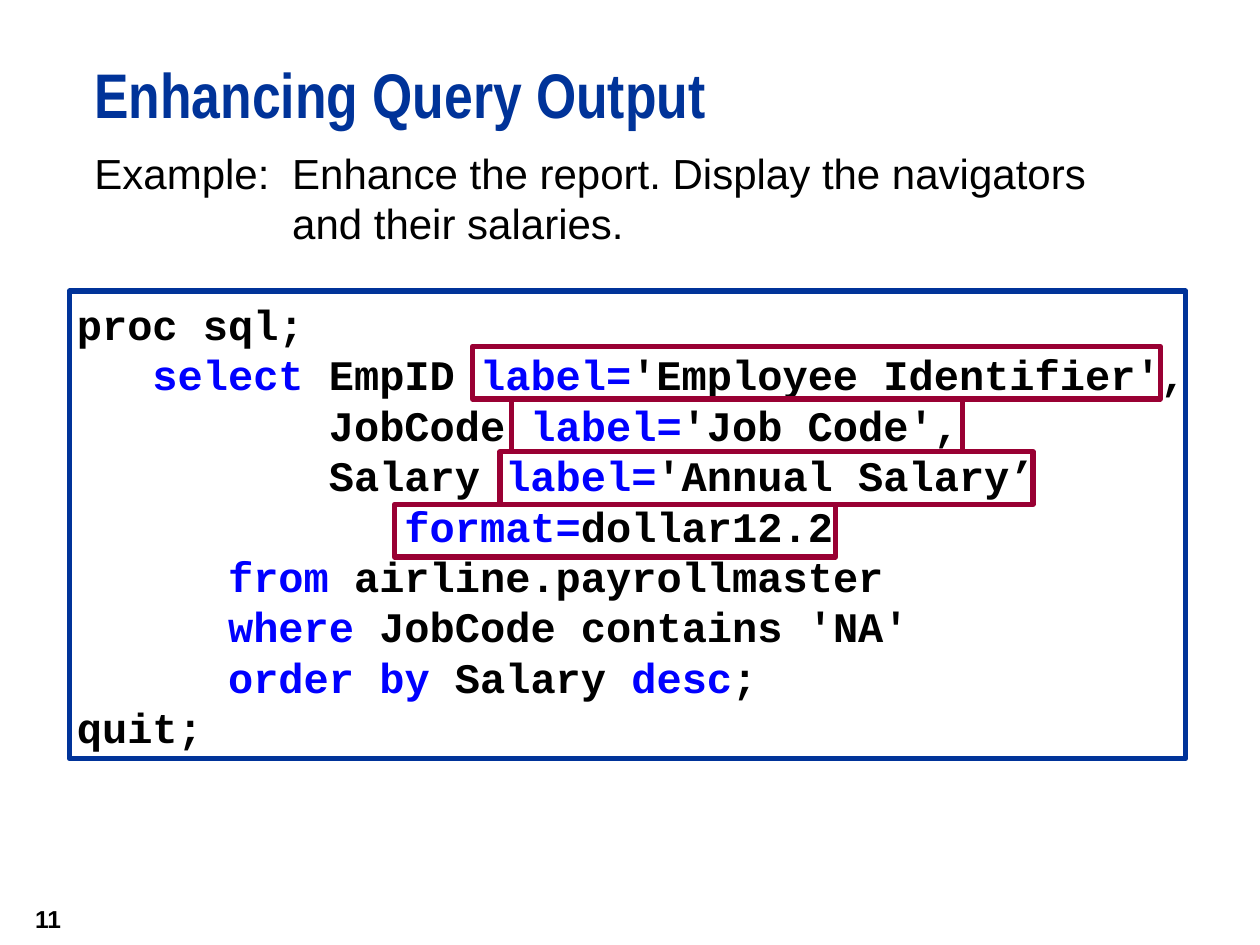
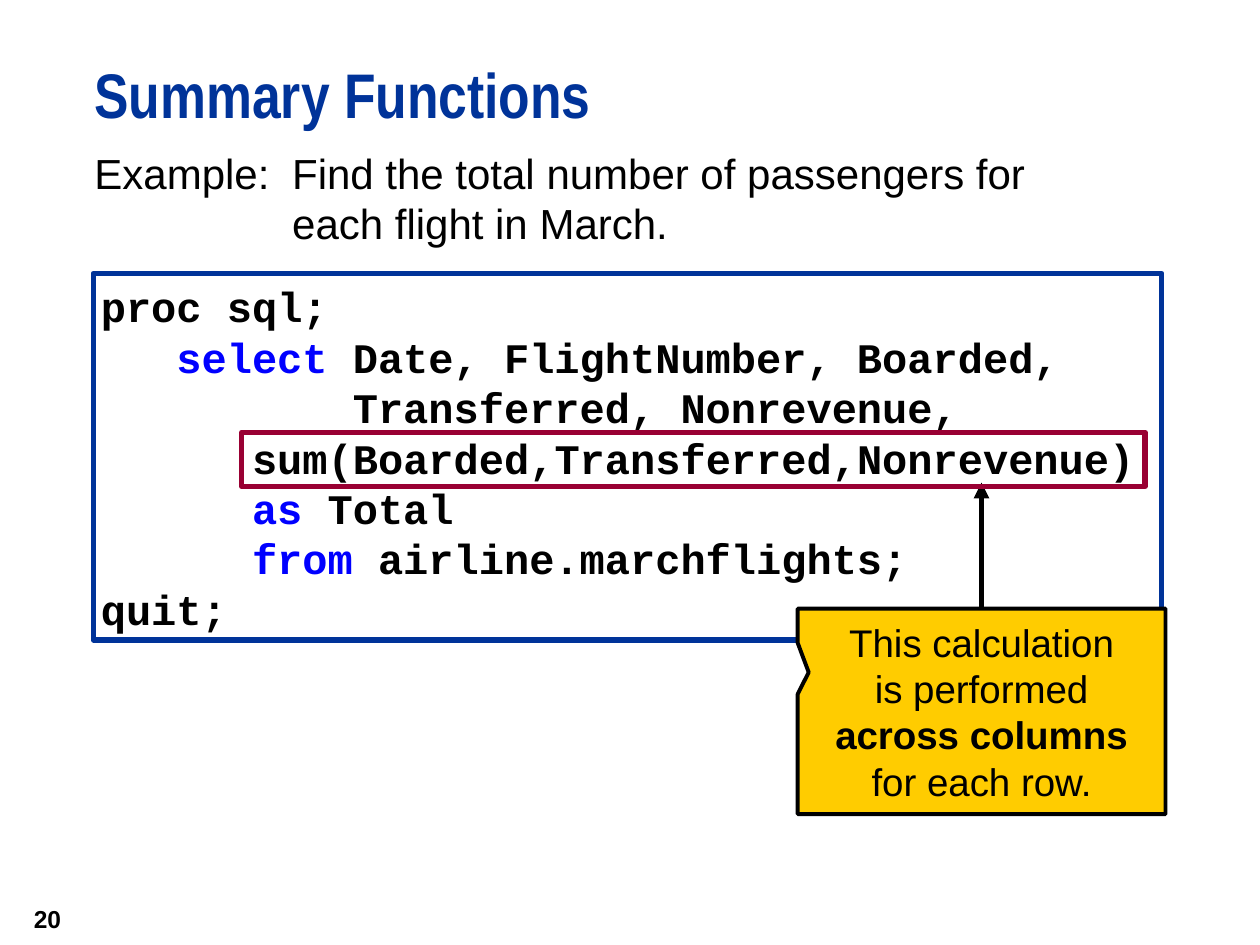
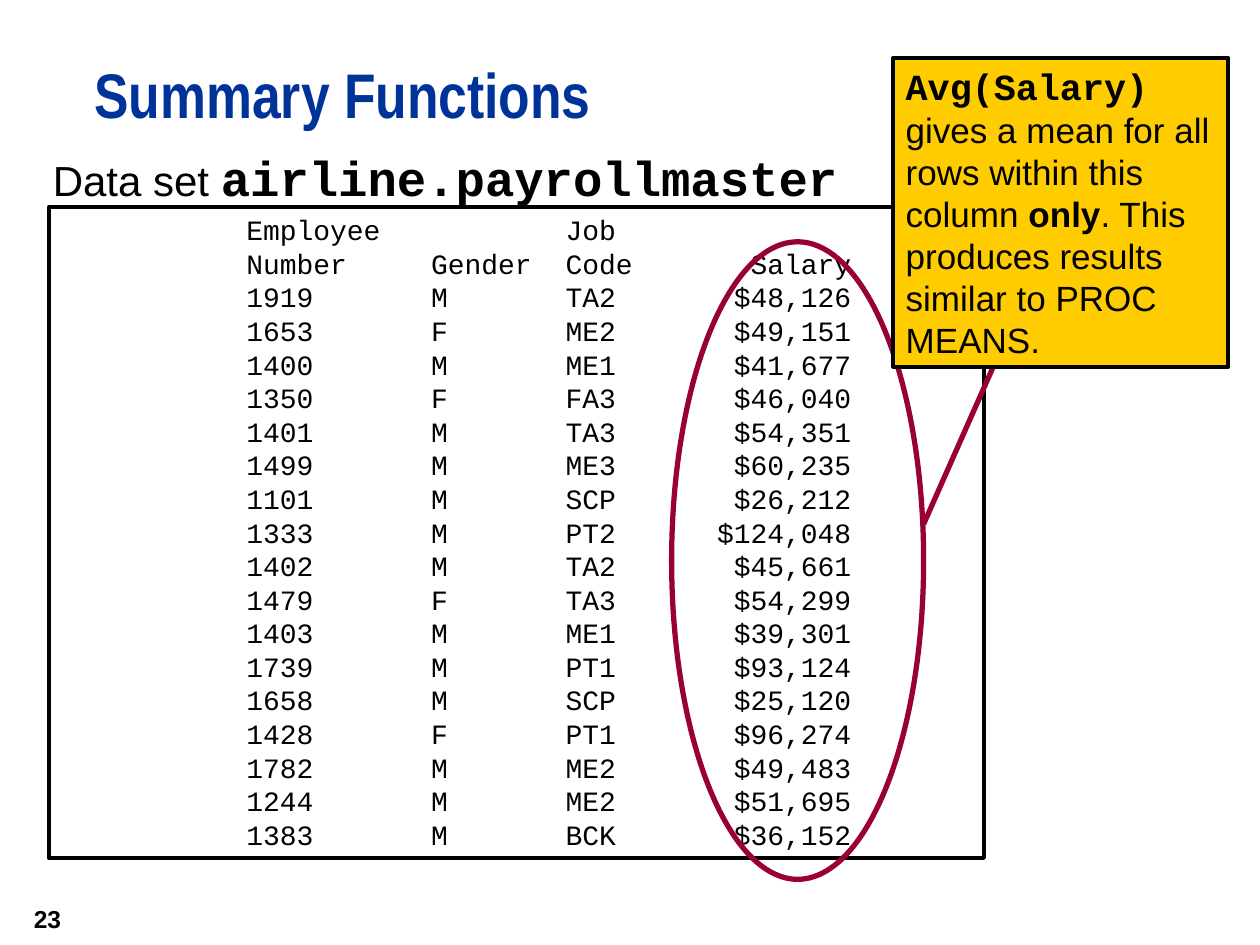
from lxml import etree
from pptx import Presentation, util as u
from pptx.dml.color import RGBColor
from pptx.enum import shapes, text
from pptx.oxml.ns import qn

NAVY, BLUE, WINE = "003399", "0000FF", "990033"
GOLD, BLACK, WHITE = "FFCC00", "000000", "FFFFFF"
SANS, SLIM, MONO = "Arial", "Arial Narrow", "Courier New"
LEFT, MID, RIGHT = text.PP_ALIGN.LEFT, text.PP_ALIGN.CENTER, text.PP_ALIGN.RIGHT
RECT = shapes.MSO_SHAPE.RECTANGLE
EM = 0.6  # width of a fixed-pitch letter, per point of size


def rgb(hue):
    return RGBColor.from_string(hue)


def look(size, font=SANS, hue=BLACK, bold=False):
    return dict(size=size, font=font, hue=hue, bold=bold)


class Deck:
    def __init__(self):
        self.prs = Presentation()
        self.prs.slide_width, self.prs.slide_height = u.Pt(720), u.Pt(540)
        self.slide = None

    def start(self, num, title):
        self.slide = self.prs.slides.add_slide(self.prs.slide_layouts[6])
        head = self.label((54, 36, 666, 54), [title], look(36, SLIM, NAVY, True))
        head.paragraphs[0].line_spacing = u.Pt(39)
        foot = self.label((0, 510, 42, 30), [str(num)], look(14, bold=True),
                          pad=(7.2, 3.6, 7.2, 3.6), align=RIGHT)
        foot.vertical_anchor = text.MSO_ANCHOR.MIDDLE

    def put(self, frame, lines, base, alt=None, pad=(0, 0, 0, 0), align=LEFT, wrap=True):
        """Fill a frame; text between bars takes the alternate look."""
        frame.word_wrap = wrap
        frame.vertical_anchor = text.MSO_ANCHOR.TOP
        (frame.margin_left, frame.margin_top,
         frame.margin_right, frame.margin_bottom) = map(u.Pt, pad)
        for i, line in enumerate(lines):
            para = frame.add_paragraph() if i else frame.paragraphs[0]
            para.alignment = align
            for j, part in enumerate(line.split("|")):
                if not part:
                    continue
                if j:
                    para.add_run().text = part
                else:
                    para.text = part
                style = alt if j % 2 else base
                for run in para.runs[-1:] if j else para.runs:
                    run.font.size = u.Pt(style["size"])
                    run.font.name = style["font"]
                    run.font.bold = style["bold"]
                    run.font.color.rgb = rgb(style["hue"])
        return frame

    def label(self, box, lines, base, alt=None, **opts):
        frame = self.slide.shapes.add_textbox(*map(u.Pt, box)).text_frame
        return self.put(frame, lines, base, alt, **opts)

    def shape(self, box, line, width=3, fill=None, kind=RECT):
        item = self.slide.shapes.add_shape(kind, *map(u.Pt, box))
        item.shadow.inherit = False
        if fill:
            item.fill.solid()
            item.fill.fore_color.rgb = rgb(fill)
        else:
            item.fill.background()
        item.line.color.rgb = rgb(line)
        item.line.width = u.Pt(width)
        return item

    def line(self, start, end, hue, arrow=False):
        item = self.slide.shapes.add_connector(
            shapes.MSO_CONNECTOR.STRAIGHT, *map(u.Pt, start + end))
        item.line.color.rgb = rgb(hue)
        item.line.width = u.Pt(3)
        props = item._element.spPr
        if arrow:
            etree.SubElement(props.get_or_add_ln(), qn("a:tailEnd"), type="triangle")
        etree.SubElement(props, qn("a:effectLst"))

    def indent(self, para, left, first=0):
        props = para._p.get_or_add_pPr()
        props.set("marL", str(u.Pt(left)))
        props.set("indent", str(u.Pt(first)))

    def tabs(self, para, stops):
        """Set tab stops from (points, side) pairs."""
        row = etree.SubElement(para._p.get_or_add_pPr(), qn("a:tabLst"))
        for pos, side in stops:
            etree.SubElement(row, qn("a:tab"), pos=str(u.Pt(pos)), algn=side)

    def task(self, words):
        frame = self.label((54, 84.24, 618, 336), ["Example:\t" + words], look(24))
        self.indent(frame.paragraphs[0], 113, -113)

    def code(self, box, rows, **opts):
        """Draw a code panel from (indent in letters, line) pairs."""
        frame = self.shape(box, NAVY, fill=WHITE).text_frame
        self.put(frame, [line for _, line in rows], look(24, MONO, bold=True),
                 look(24, MONO, BLUE, True), **opts)
        for para, (step, _) in zip(frame.paragraphs, rows):
            self.indent(para, step * 24 * EM)

    def report(self, box, rows):
        frame = self.shape(box, BLACK, 2.25, WHITE).text_frame
        self.put(frame, rows, look(16, MONO), pad=(7.2, 3.6, 7.2, 3.6))
        for para in frame.paragraphs:
            self.tabs(para, [(n * 16 * EM, side) for n, side in
                             ((11, "l"), (22, "l"), (30, "l"), (47, "r"))])

    def note(self, box, lines, base, alt, kind=RECT, **opts):
        item = self.shape(box, BLACK, 2.25, GOLD, kind)
        self.put(item.text_frame, lines, base, alt, pad=(7.2, 3.6, 7.2, 3.6), **opts)
        return item


STAFF = """1919 M TA2 $48,126
1653 F ME2 $49,151
1400 M ME1 $41,677
1350 F FA3 $46,040
1401 M TA3 $54,351
1499 M ME3 $60,235
1101 M SCP $26,212
1333 M PT2 $124,048
1402 M TA2 $45,661
1479 F TA3 $54,299
1403 M ME1 $39,301
1739 M PT1 $93,124
1658 M SCP $25,120
1428 F PT1 $96,274
1782 M ME2 $49,483
1244 M ME2 $51,695
1383 M BCK $36,152"""


def labels(deck):
    deck.start(11, "Enhancing Query Output")
    deck.task("Enhance the report. Display the navigators\vand their salaries.")
    deck.code((39.6, 166.3, 638, 267.1), [
        (0, "proc sql;"),
        (3, "|select| EmpID |label=|'Employee Identifier',"),
        (10, "JobCode |label=|'Job Code',"),
        (10, "Salary |label=|'Annual Salary’"),
        (13, "|format=|dollar12.2"),
        (6, "|from| airline.payrollmaster"),
        (6, "|where| JobCode contains 'NA'"),
        (6, "|order by| Salary |desc|;"),
        (0, "quit;"),
    ], pad=(4.3, 4.3, 0, 4.3), wrap=False)
    for i, (left, width) in enumerate(((270, 393), (292.3, 257.8), (285.8, 304.6), (225.4, 252))):
        deck.shape((left, 198 + 30.1 * i, width, 30), WINE)


def totals(deck):
    deck.start(20, "Summary Functions")
    deck.code((53.3, 156.2, 610.6, 209.5), [
        (0, "proc sql;"),
        (3, "|select| Date, FlightNumber, Boarded,"),
        (10, "Transferred, Nonrevenue,"),
        (6, "sum(Boarded,Transferred,Nonrevenue)"),
        (6, "|as| Total"),
        (6, "|from| airline.marchflights;"),
        (0, "quit;"),
    ], pad=(4.3, 4.3, 4.3, 4.3))
    deck.task("Find the total number of passengers for\veach flight in March.")
    deck.line((560.9, 407.5), (560.9, 275.8), BLACK, arrow=True)
    tip = deck.note((455.8, 347.8, 210.2, 117.4),
                    ["This calculation", "is performed", "|across columns|", "for each row."],
                    look(22), look(22, bold=True),
                    shapes.MSO_SHAPE.RECTANGULAR_CALLOUT, align=MID, wrap=False)
    tip.adjustments[0], tip.adjustments[1] = -0.47, -0.19
    tip.text_frame.vertical_anchor = text.MSO_ANCHOR.MIDDLE
    deck.shape((138.2, 247, 516.2, 31), WINE)


def means(deck):
    deck.start(23, "Summary Functions")
    deck.label((30.2, 84.24, 618, 336), ["Data set |airline.payrollmaster|"],
               look(24), look(28, MONO, bold=True))
    rows = ["\tEmployee\t\tJob", "\tNumber\tGender\tCode\tSalary"]
    rows += ["\t" + "\t".join(line.split()) for line in STAFF.splitlines()]
    deck.report((28.1, 118.1, 534.2, 372.2), rows)
    deck.shape((383.8, 138.2, 144, 364.3), WINE, kind=shapes.MSO_SHAPE.OVAL)
    deck.line((599.8, 136.8), (527.8, 299.5), WINE)
    tip = deck.note((510.5, 33.1, 191.5, 176.4),
                    ["|Avg(Salary)| gives a mean for all rows within this column "
                     "|only|. This produces results similar to PROC MEANS."],
                    look(20), look(20, bold=True))
    lead = tip.text_frame.paragraphs[0].runs[0].font
    lead.name, lead.size = MONO, u.Pt(21)


def main():
    deck = Deck()
    for build in (labels, totals, means):
        build(deck)
    deck.prs.save("out.pptx")


if __name__ == "__main__":
    main()
